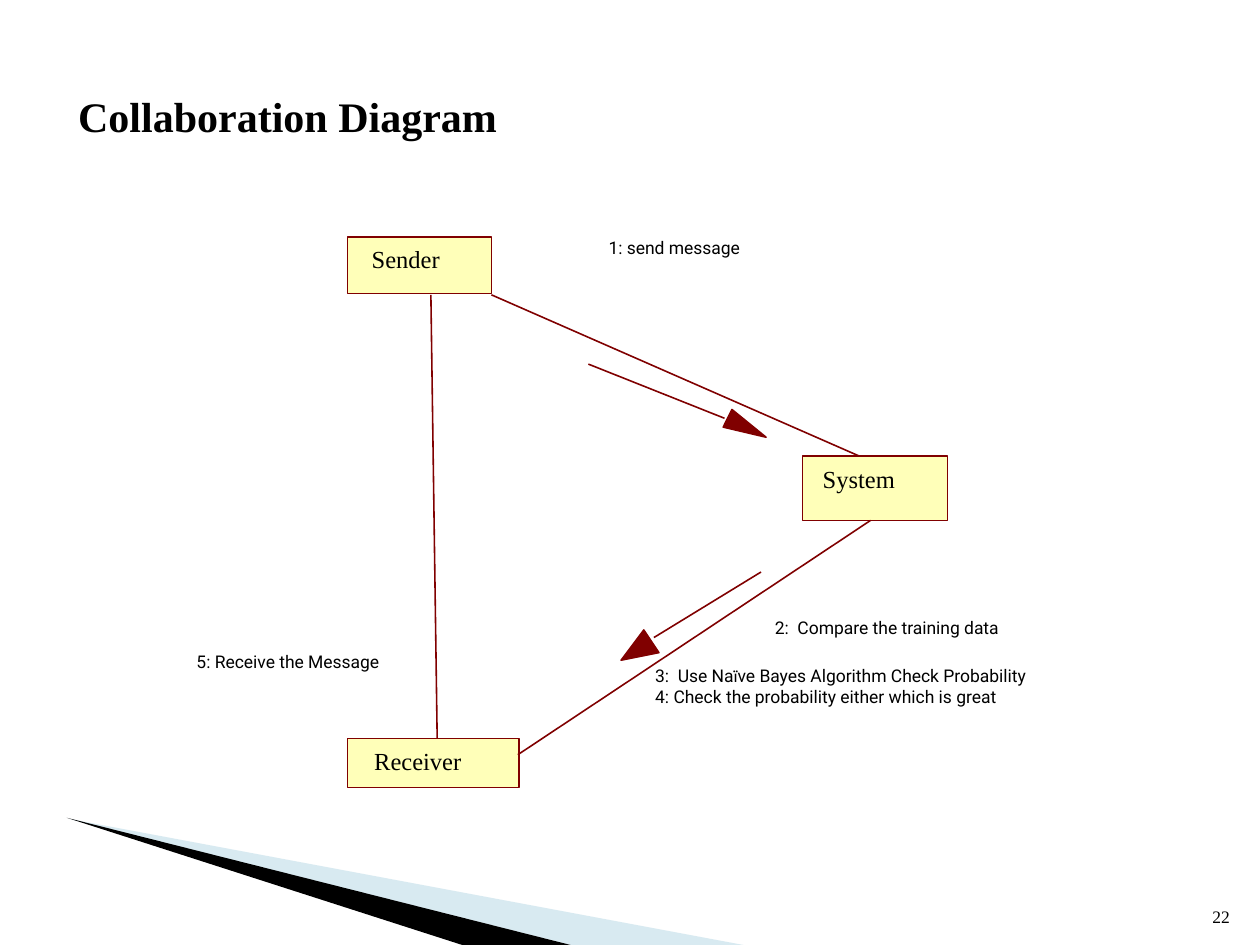
from lxml import etree
from pptx import Presentation
from pptx.dml.color import RGBColor
from pptx.enum.shapes import MSO_CONNECTOR, MSO_SHAPE
from pptx.enum.text import MSO_ANCHOR, MSO_AUTO_SIZE, PP_ALIGN
from pptx.oxml.ns import qn
from pptx.util import Inches, Pt

RECTANGLE = MSO_SHAPE.RECTANGLE
STRAIGHT = MSO_CONNECTOR.STRAIGHT
TOP, BOTTOM = MSO_ANCHOR.TOP, MSO_ANCHOR.BOTTOM
LEFT, RIGHT = PP_ALIGN.LEFT, PP_ALIGN.RIGHT
NO_FIT = MSO_AUTO_SIZE.NONE

BLACK = RGBColor(0x00, 0x00, 0x00)
CREAM = RGBColor(0xFF, 0xFF, 0xB9)
MAROON = RGBColor(0x80, 0x00, 0x00)
PALE_BLUE = RGBColor(0x9F, 0xCB, 0xDC)

SERIF, SANS, ACCENT = "Times New Roman", "Roboto", "Calibri"
LINE_WIDTH = 0.91

# Objects: box (left, top, width, height), name, place of the name
OBJECTS = [
    ((2.76, 5.86, 1.36, 0.39), "Receiver", (2.97, 5.92, 0.9, 0.23)),
    ((2.76, 1.88, 1.14, 0.45), "Sender", (2.95, 1.94, 0.75, 0.23)),
    ((6.37, 3.62, 1.15, 0.51), "System", (6.53, 3.68, 0.9, 0.23)),
]

# Links between objects, then the shafts of the message arrows
LINES = [
    ((3.47, 5.86), (3.42, 2.34)),
    ((6.82, 3.62), (3.9, 2.34)),
    ((4.11, 5.99), (6.91, 4.13)),
    ((4.67, 2.89), (5.75, 3.32)),
    ((6.04, 4.54), (5.19, 5.06)),
]

ARROWHEADS = [
    [(5.11, 5), (4.93, 5.24), (5.23, 5.18)],
    [(5.74, 3.39), (6.08, 3.47), (5.81, 3.25)],
]

# Messages: place, lines of (text, font) spans
MESSAGES = [
    ((4.83, 1.88, 1.3, 0.17), [[("1: send message", SANS)]]),
    ((1.56, 5.17, 1.7, 0.17), [[("5: Receive the Message", SANS)]]),
    ((6.15, 4.9, 2.1, 0.17), [[("2:  Compare the training data", SANS)]]),
    ((5.2, 5.28, 4.12, 0.33), [
        [("3:  Use Na", SANS), ("ï", ACCENT),
         ("ve Bayes Algorithm Check Probability", SANS)],
        [("4: Check the probability either which is great", SANS)],
    ]),
]


def place(shape, area):
    shape.left, shape.top, shape.width, shape.height = map(Inches, area)


def write_text(frame, lines, size=10, bold=False, align=LEFT, anchor=TOP,
               margins=(0, 0)):
    """Fill a text frame with lines, each a list of (text, font) spans."""
    frame.word_wrap = True
    frame.auto_size = NO_FIT
    frame.vertical_anchor = anchor
    frame.margin_left = frame.margin_right = Inches(margins[0])
    frame.margin_top = frame.margin_bottom = Inches(margins[1])
    for number, line in enumerate(lines):
        para = frame.add_paragraph() if number else frame.paragraphs[0]
        para.alignment = align
        for text, font in line:
            span = para.add_run()
            span.text = text
            span.font.name = font
            span.font.size = Pt(size)
            span.font.bold = bold
            span.font.color.rgb = BLACK


def add_text(page, area, lines, **style):
    box = page.shapes.add_textbox(*map(Inches, area))
    write_text(box.text_frame, lines, **style)


def paint(shape, fill, line=None, alpha=None):
    shape.shadow.inherit = False
    shape.fill.solid()
    shape.fill.fore_color.rgb = fill
    if alpha is not None:
        color = shape.fill._xPr.find(".//" + qn("a:srgbClr"))
        etree.SubElement(color, qn("a:alpha"), val=str(alpha * 1000))
    if line is None:
        shape.line.fill.background()
    else:
        shape.line.color.rgb = line
        shape.line.width = Pt(LINE_WIDTH)


def add_polygon(page, points, fill, **style):
    start, *rest = [(Inches(x), Inches(y)) for x, y in points]
    builder = page.shapes.build_freeform(*start)
    builder.add_line_segments(rest, close=True)
    paint(builder.convert_to_shape(), fill, **style)


def add_line(page, start, end):
    line = page.shapes.add_connector(STRAIGHT, *map(Inches, start + end))
    line.line.color.rgb = MAROON
    line.line.width = Pt(LINE_WIDTH)
    etree.SubElement(line._element.spPr, qn("a:effectLst"))


def add_object(page, area, name, name_area):
    box = page.shapes.add_shape(RECTANGLE, *map(Inches, area))
    paint(box, CREAM, line=MAROON)
    add_text(page, name_area, [[(name, SERIF)]], size=14)


def main():
    deck = Presentation()
    deck.slide_width, deck.slide_height = Inches(10), Inches(7.5)
    page = deck.slides.add_slide(deck.slide_layouts[5])

    # Title
    title = page.shapes.title
    place(title, (0.52, 0.67, 4.2, 0.5))
    write_text(title.text_frame, [[("Collaboration Diagram", SERIF)]],
               size=24, bold=True, margins=(0.1, 0.05))

    # Corner wedges and page number
    add_polygon(page, [(0.55, 6.5), (5.9, 7.5), (4.53, 7.5)],
                PALE_BLUE, alpha=40)
    add_polygon(page, [(0.53, 6.49), (4.53, 7.5), (3.67, 7.5)], BLACK)
    add_text(page, (9.46, 7.01, 0.4, 0.4), [[("22", SERIF)]], align=RIGHT,
             anchor=BOTTOM, margins=(0.1, 0.05))

    # Diagram
    for area, name, name_area in OBJECTS:
        add_object(page, area, name, name_area)
    for start, end in LINES:
        add_line(page, start, end)
    for points in ARROWHEADS:
        add_polygon(page, points, MAROON, line=MAROON)
    for area, lines in MESSAGES:
        add_text(page, area, lines)

    deck.save("out.pptx")


if __name__ == "__main__":
    main()
